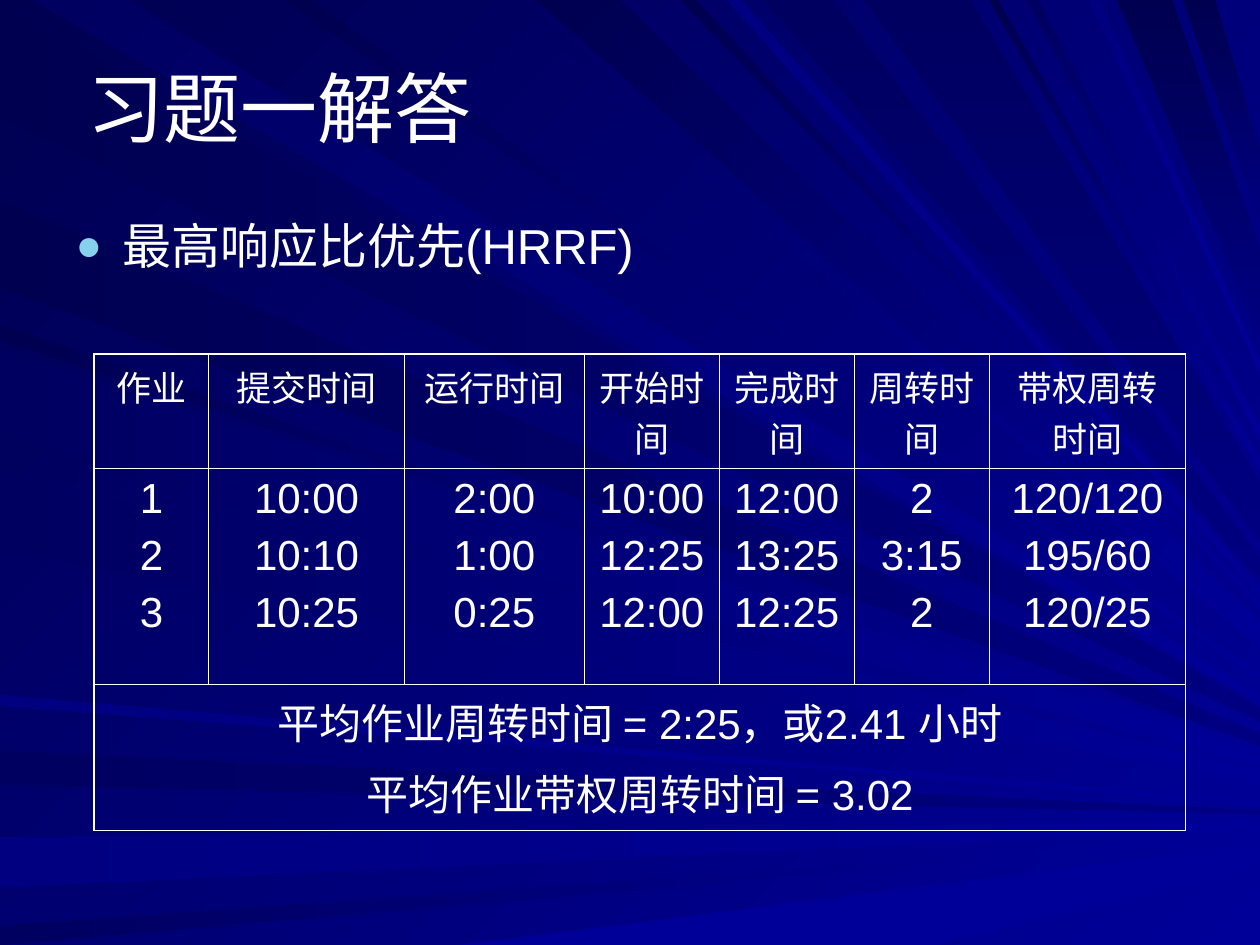
import pptx
import pptx.util
import pptx.dml.color
import pptx.enum.text
import pptx.enum.lang
import lxml.etree
from pptx.util import Cm, Pt
from pptx.dml.color import RGBColor

WHITE = RGBColor(0xFF, 0xFF, 0xFF)
SKY = RGBColor(0x86, 0xD1, 0xEC)
BLUE = RGBColor(0x00, 0x00, 0x99)
NAVY = RGBColor(0x00, 0x00, 0x80)
DUSK = RGBColor(0x00, 0x00, 0x60)
NIGHT = RGBColor(0x00, 0x00, 0x51)
ALIGN = pptx.enum.text.PP_ALIGN
SPACE = "{http://schemas.openxmlformats.org/drawingml/2006/main}"


def write(frame, text, size=24, align=ALIGN.CENTER, gap=0):
    for i, line in enumerate(text.split("\n")):
        para = frame.add_paragraph() if i else frame.paragraphs[0]
        para.alignment = align
        para.space_before = Pt(gap if i else 0)
        run = para.add_run()
        run.text = line
        run.font.size = Pt(size)
        run.font.name = "Arial"
        run.font.color.rgb = WHITE
        run.font.language_id = pptx.enum.lang.MSO_LANGUAGE_ID.SIMPLIFIED_CHINESE


def shade(fill, start, end, angle):
    fill.gradient()
    fill.gradient_angle = angle
    for stop, tone in zip(fill.gradient_stops, (start, end)):
        stop.color.rgb = tone


deck = pptx.Presentation()
deck.slide_width, deck.slide_height = Cm(25.4), Cm(19.05)
slide = deck.slides.add_slide(deck.slide_layouts[1])
shade(slide.background.fill, BLUE, NIGHT, 135)

WIDE, HIGH = 1000, 750
HUB = (1160, 650)
LEFT = [
    (2, 93, NAVY, NIGHT), (596, 623, NAVY, DUSK), (665, 704, BLUE, NAVY),
    (735, 750, BLUE, DUSK), (258, 270, BLUE, NIGHT), (159, 228, NAVY, NIGHT),
    (278, 342, BLUE, DUSK), (374, 437, BLUE, DUSK), (552, 560, BLUE, NAVY),
]
TOP = [
    (26, 101, BLUE, DUSK), (225, 247, BLUE, NIGHT), (398, 416, BLUE, DUSK),
    (426, 492, BLUE, NIGHT), (540, 552, BLUE, NIGHT), (577, 588, BLUE, NAVY),
    (606, 661, NAVY, DUSK), (686, 770, NAVY, DUSK), (785, 792, BLUE, NIGHT),
    (815, 824, BLUE, DUSK), (865, 872, BLUE, NAVY), (887, 930, NAVY, NIGHT),
    (939, 964, NAVY, NIGHT),
]
rays = [((0, a), (0, b), start, end, 180) for a, b, start, end in LEFT]
rays += [((a, 0), (b, 0), start, end, 90 if start == NAVY else 135)
         for a, b, start, end in TOP]
rays.append(((364, HIGH), (742, HIGH), BLUE, BLUE, 180))

group = slide.shapes.add_group_shape()
slide.shapes.element.insert(2, group.element)
for first, last, start, end, angle in rays:
    tips = [(WIDE, y + (HUB[1] - y) * (WIDE - x) / (HUB[0] - x)) for x, y in (last, first)]
    pen = group.shapes.build_freeform(*first, scale=Cm(2.54) / 100)
    pen.add_line_segments([last] + tips, close=True)
    ray = pen.convert_to_shape()
    ray.shadow.inherit = False
    ray.line.fill.background()
    shade(ray.fill, start, end, angle)

title = slide.shapes.title
title.left, title.top, title.width, title.height = Cm(1.5), Cm(0.56), Cm(22.86), Cm(3.18)
title.text_frame.vertical_anchor = pptx.enum.text.MSO_ANCHOR.MIDDLE
write(title.text_frame, "习题一解答", size=44, align=ALIGN.LEFT)

body = slide.placeholders[1]
body.left, body.top, body.width, body.height = Cm(1.27), Cm(4.45), Cm(22.86), Cm(1.27)
for frame in (title.text_frame, body.text_frame):
    frame.auto_size = pptx.enum.text.MSO_AUTO_SIZE.NONE
write(body.text_frame, "最高响应比优先(HRRF)", size=28, align=ALIGN.LEFT)
item = body.text_frame.paragraphs[0]
item.line_spacing = 0.8
props = item._p.get_or_add_pPr()
props.set("marL", str(Cm(0.95)))
props.set("indent", str(-Cm(0.95)))
tint = lxml.etree.SubElement(props, SPACE + "buClr")
lxml.etree.SubElement(tint, SPACE + "srgbClr", val=str(SKY))
lxml.etree.SubElement(props, SPACE + "buSzPct", val="90000")
lxml.etree.SubElement(props, SPACE + "buFont", typeface="Arial")
lxml.etree.SubElement(props, SPACE + "buChar", char="●")

HEADS = ["作业", "提交时间", "运行时间", "开始时间", "完成时间", "周转时间", "带权周转时间"]
JOBS = [
    ["1", "10:00", "2:00", "10:00", "12:00", "2", "120/120"],
    ["2", "10:10", "1:00", "12:25", "13:25", "3:15", "195/60"],
    ["3", "10:25", "0:25", "12:00", "12:25", "2", "120/25"],
]
MEANS = "平均作业周转时间 = 2:25，或2.41 小时\n平均作业带权周转时间 = 3.02"
WIDTHS = [2.31, 3.94, 3.63, 2.72, 2.72, 2.72, 3.96]
HEIGHTS = [2.31, 4.34, 2.95]
rows, cols = len(HEIGHTS), len(WIDTHS)
table = slide.shapes.add_table(
    rows, cols, Cm(1.9), Cm(7.14), Cm(sum(WIDTHS)), Cm(sum(HEIGHTS))).table
table.first_row = table.horz_banding = False
for col, width in zip(table.columns, WIDTHS):
    col.width = Cm(width)
for row, height in zip(table.rows, HEIGHTS):
    row.height = Cm(height)
for r in range(rows):
    for c in range(cols):
        cell = table.cell(r, c)
        edges = {"lnL": c == 0, "lnR": c == cols - 1, "lnT": r == 0, "lnB": r == rows - 1}
        for side, outer in edges.items():
            line = lxml.etree.SubElement(
                cell._tc.get_or_add_tcPr(), SPACE + side, w=str(Pt(1.08 if outer else 0.45)))
            solid = lxml.etree.SubElement(line, SPACE + "solidFill")
            lxml.etree.SubElement(solid, SPACE + "srgbClr", val=str(WHITE))
        cell.fill.background()
for c, head in enumerate(HEADS):
    write(table.cell(0, c).text_frame, head, size=20)
    write(table.cell(1, c).text_frame, "\n".join(job[c] for job in JOBS), gap=6)
table.cell(2, 0).merge(table.cell(2, cols - 1))
write(table.cell(2, 0).text_frame, MEANS, gap=6)

deck.save("out.pptx")
